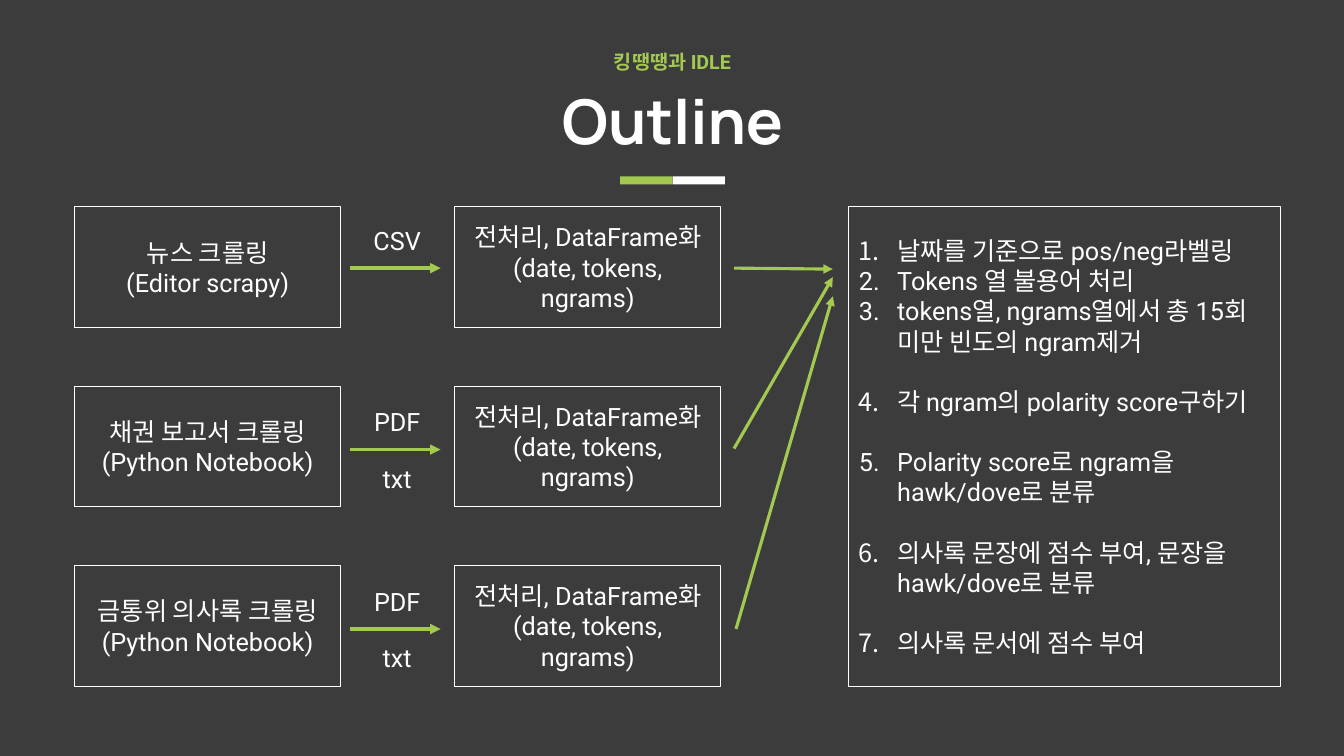
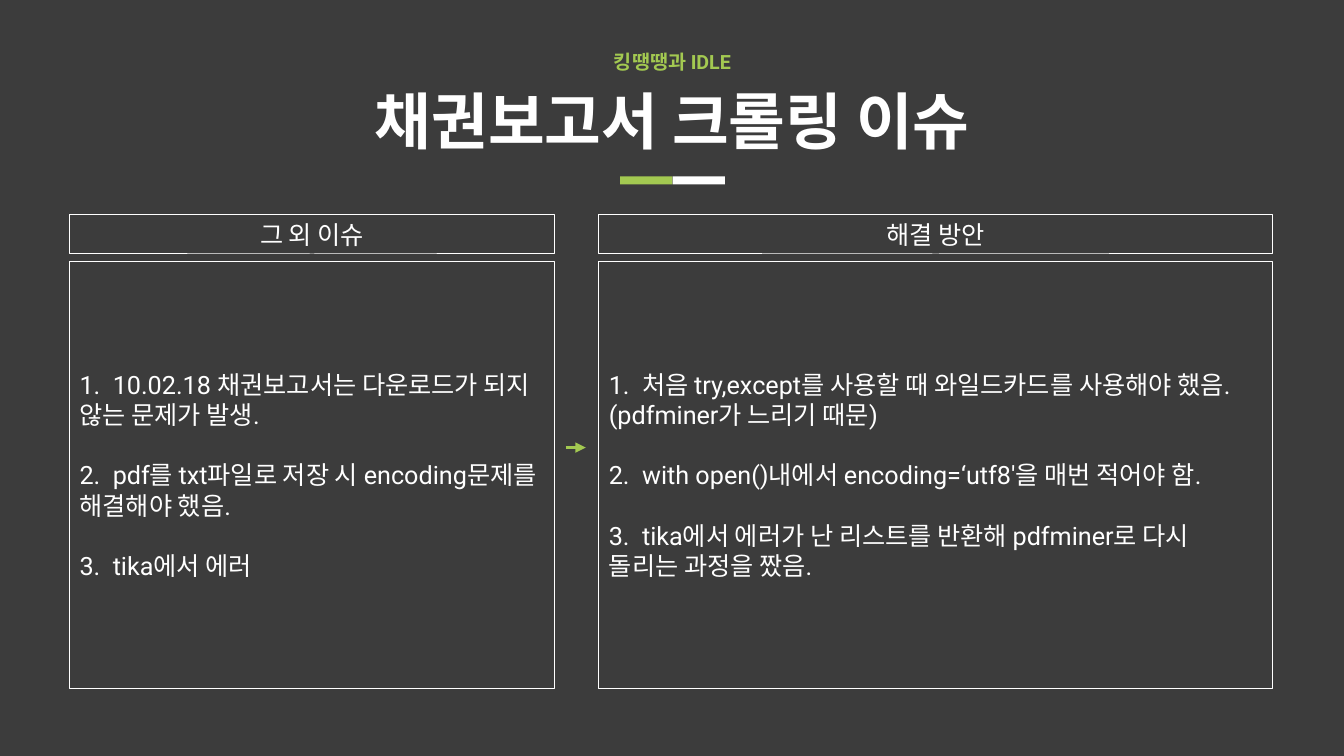
from lxml import etree
from pptx import Presentation
from pptx import util as u
from pptx.dml.color import RGBColor
from pptx.enum import shapes, text
from pptx.oxml.ns import qn

PX = 9144
COLORS = {"back": "3C3C3C", "green": "A3C951", "white": "FFFFFF"}
HEAD_FONT, BODY_FONT = "Manrope", "Roboto"
BLANK_LINE = 21.5
TEAM = "킹땡땡과 IDLE"

SOURCES = [
    (["뉴스 크롤링", "(Editor scrapy)"], ["CSV"], 266),
    (["채권 보고서 크롤링", "(Python Notebook)"], ["PDF", "txt"], 446),
    (["금통위 의사록 크롤링", "(Python Notebook)"], ["PDF", "txt"], 624),
]
FRAME_STEP = ["전처리, DataFrame화", "(date, tokens, ngrams)"]
MERGE_ARROWS = [(728, 266, 826, 267), (728, 445, 826, 275), (730, 624, 826, 294)]
ANALYSIS = [
    "날짜를 기준으로 pos/neg라벨링",
    "Tokens 열 불용어 처리",
    "tokens열, ngrams열에서 총 15회 미만 빈도의 ngram제거",
    "각 ngram의 polarity score구하기",
    "Polarity score로 ngram을 hawk/dove로 분류",
    "의사록 문장에 점수 부여, 문장을 hawk/dove로 분류",
    "의사록 문서에 점수 부여",
]
FIRST_SPACED_STEP = 3

PANELS = [
    (69, 481, "그 외 이슈", [
        "1.\t10.02.18 채권보고서는 다운로드가 되지 않는 문제가 발생.",
        "2.\tpdf를 txt파일로 저장 시 encoding문제를 해결해야 했음.",
        "3.\ttika에서 에러",
    ]),
    (594, 668, "해결 방안", [
        "1.\t처음 try,except를 사용할 때 와일드카드를 사용해야 했음.(pdfminer가 느리기 때문)",
        "2.\twith open()내에서 encoding=‘utf8'을 매번 적어야 함.",
        "3.\ttika에서 에러가 난 리스트를 반환해 pdfminer로 다시 돌리는 과정을 짰음.",
    ]),
]


def color(name):
    return RGBColor.from_string(COLORS[name])


def place(*lengths):
    return [u.Emu(length * PX) for length in lengths]


def style(para, size=18, ink="white", face=BODY_FONT, bold=False):
    para.font.size = u.Pt(size)
    para.font.name = face
    para.font.bold = bold
    para.font.color.rgb = color(ink)


def write(shape, lines, align=text.PP_ALIGN.CENTER, **look):
    frame = shape.text_frame
    frame.word_wrap = True
    frame.auto_size = text.MSO_AUTO_SIZE.NONE
    frame.vertical_anchor = text.MSO_ANCHOR.MIDDLE
    for index, line in enumerate(lines):
        para = frame.paragraphs[0] if index == 0 else frame.add_paragraph()
        para.text = line
        para.alignment = align
        style(para, **look)
    return frame.paragraphs


def add_box(page, area, lines=(), fill="back", line=None, **look):
    box = page.shapes.add_shape(shapes.MSO_SHAPE.RECTANGLE, *place(*area))
    box.shadow.inherit = False
    box.fill.solid()
    box.fill.fore_color.rgb = color(fill)
    if line:
        box.line.color.rgb = color(line)
        box.line.width = u.Pt(0.75)
    else:
        box.line.fill.background()
    return write(box, lines, **look)


def add_arrow(page, points, width=2.5):
    arrow = page.shapes.add_connector(shapes.MSO_CONNECTOR.STRAIGHT, *place(*points))
    arrow.line.color.rgb = color("green")
    arrow.line.width = u.Pt(width)
    etree.SubElement(arrow.line._get_or_add_ln(), qn("a:tailEnd"), type="triangle")
    etree.SubElement(arrow._element.spPr, qn("a:effectLst"))


def insert_before_font(para, *parts):
    defaults = para.font._element
    for part in parts:
        defaults.addprevious(part)


def number(para):
    properties = para._p.get_or_add_pPr()
    properties.set("marL", str(38 * PX))
    properties.set("indent", str(-38 * PX))
    ink = etree.Element(qn("a:buClr"))
    etree.SubElement(ink, qn("a:srgbClr"), val=COLORS["white"])
    insert_before_font(para, ink, etree.Element(qn("a:buAutoNum"), type="arabicPeriod"))


def add_tab_stop(para):
    stops = etree.Element(qn("a:tabLst"))
    etree.SubElement(stops, qn("a:tab"), pos=str(33 * PX), algn="l")
    insert_before_font(para, stops)


def add_page(deck, heading):
    page = deck.slides.add_slide(deck.slide_layouts[5])
    for index, fill in enumerate(("green", "white")):
        add_box(page, (615 + 52 * index, 175, 52, 8), fill=fill)
    title = page.shapes.title
    title.left, title.top, title.width, title.height = place(92, 63, 1150, 122)
    team = page.shapes.add_textbox(*place(92, 43, 1150, 40))
    heads = write(title, [heading], size=44, face=HEAD_FONT, bold=True)
    tags = write(team, [TEAM], size=14, ink="green", bold=True)
    for para in (*heads, *tags):
        para.line_spacing = 0.9
    return page


def build_outline(deck):
    page = add_page(deck, "Outline")
    for row, (source, formats, arrow_y) in enumerate(SOURCES):
        top = 205 + 178 * row
        for left, lines in ((74, source), (451, FRAME_STEP)):
            add_box(page, (left, top, 264, 120), lines, line="white")
        add_arrow(page, (347, arrow_y, 437, arrow_y))
        for index, label in enumerate(formats):
            add_box(page, (346, arrow_y - 50 + 56 * index, 96, 45), [label])
    for points in MERGE_ARROWS:
        add_arrow(page, points, 2.25)
    steps = add_box(page, (842, 205, 428, 476), ANALYSIS, line="white",
                    align=text.PP_ALIGN.LEFT)
    for index, para in enumerate(steps):
        number(para)
        if index >= FIRST_SPACED_STEP:
            para.space_before = u.Pt(BLANK_LINE)


def build_issues(deck):
    page = add_page(deck, "채권보고서 크롤링 이슈")
    for left, width, heading, items in PANELS:
        add_box(page, (left, 213, width, 39), [heading], line="white")
        paras = add_box(page, (left, 259, width, 424), items, line="white",
                        align=text.PP_ALIGN.LEFT)
        for index, para in enumerate(paras):
            add_tab_stop(para)
            if index:
                para.space_before = u.Pt(BLANK_LINE)
    add_arrow(page, (561, 444, 581, 444))


def main():
    deck = Presentation()
    deck.slide_width, deck.slide_height = place(1333, 750)
    backdrop = deck.slide_master.background.fill
    backdrop.solid()
    backdrop.fore_color.rgb = color("back")
    build_outline(deck)
    build_issues(deck)
    deck.save("out.pptx")


if __name__ == "__main__":
    main()
